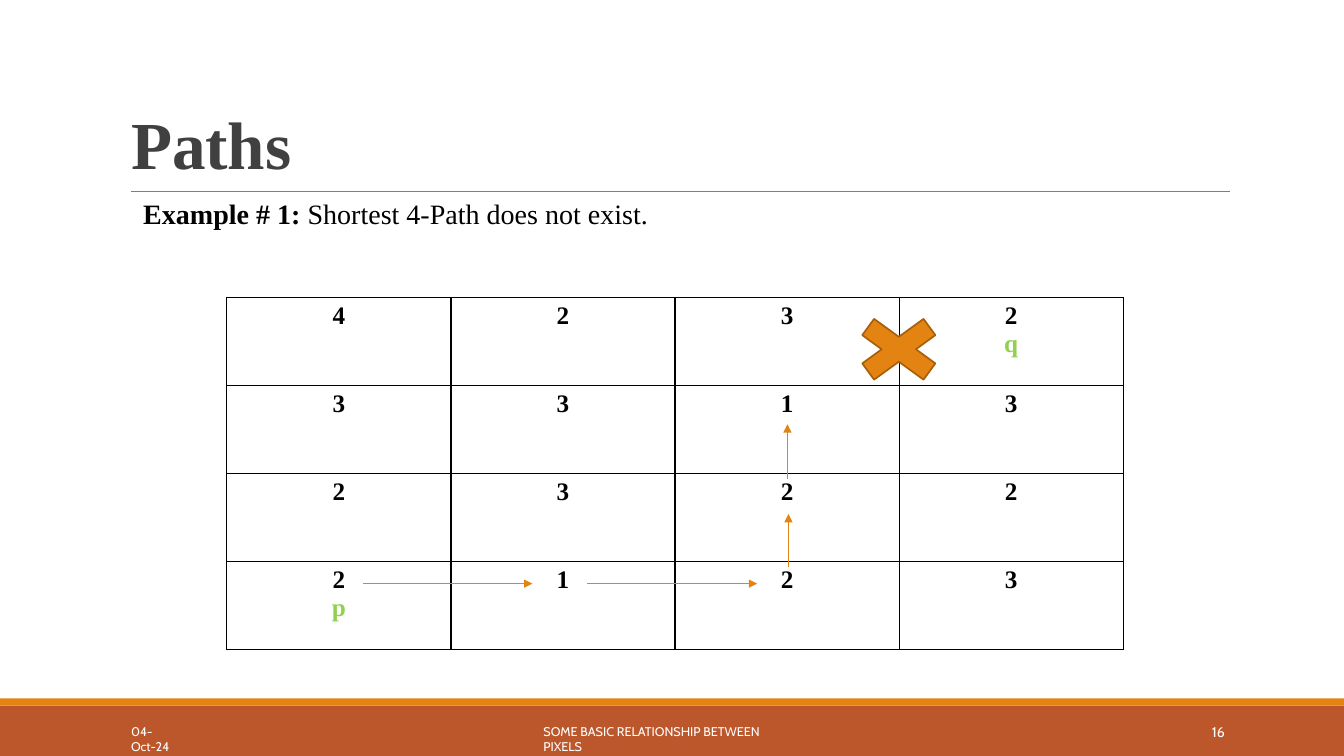
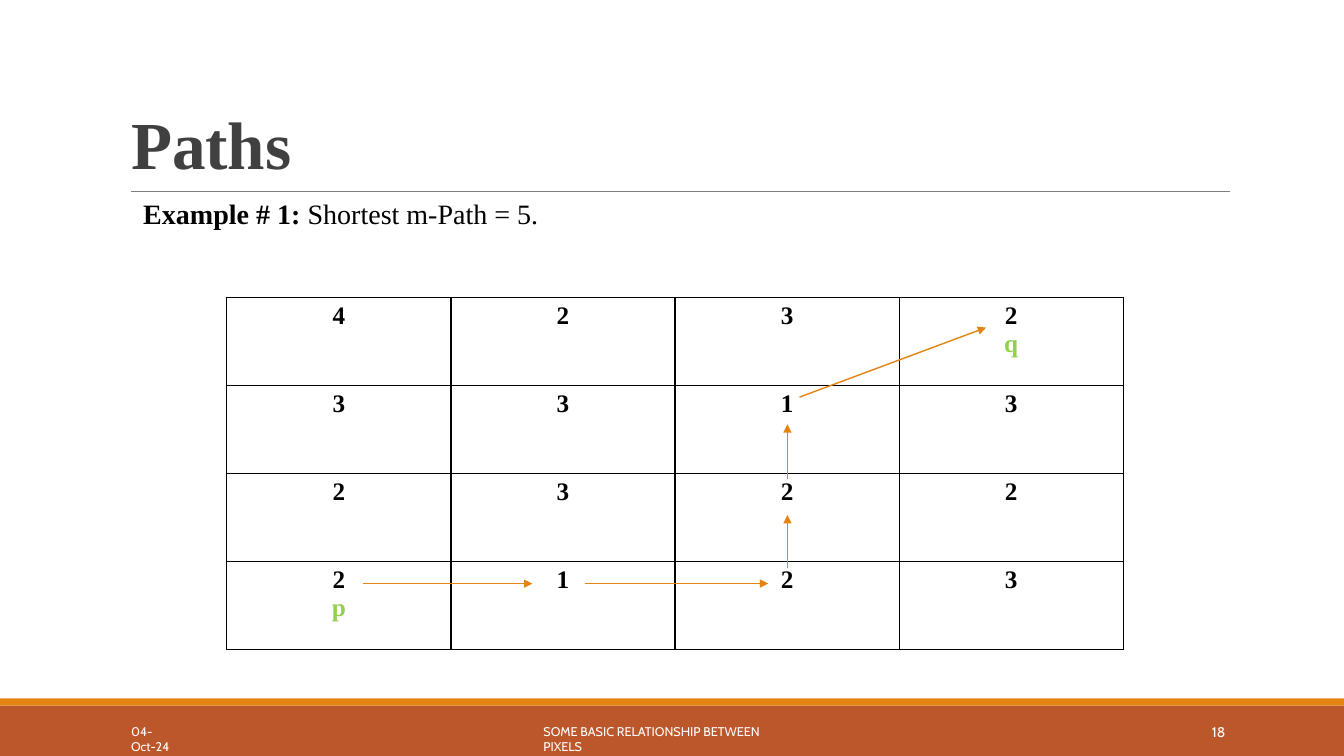
"""Build two slides on paths between pixels."""
from dataclasses import dataclass

from lxml.etree import SubElement
from pptx import Presentation
from pptx.dml.color import RGBColor
from pptx.enum.shapes import MSO_CONNECTOR, MSO_SHAPE
from pptx.enum.text import PP_ALIGN
from pptx.oxml.ns import qn
from pptx.util import Inches, Pt


@dataclass(frozen=True)
class Theme:
    """Colours, fonts and type sizes of the presentation."""

    band: str = "BC572C"
    accent: str = "E38312"
    accent_dark: str = "A75F09"
    rule: str = "7E7E7E"
    title: str = "404040"
    text: str = "000000"
    marker: str = "92D050"
    light: str = "FFFFFF"
    serif: str = "Times New Roman"
    sans: str = "Cabin"
    title_size: float = 48
    body_size: float = 20
    cell_size: float = 18
    page_size: float = 10
    footer_size: float = 9


THEME = Theme()
PIXELS = (
    ("4", "2", "3", "2\nq"),
    ("3", "3", "1", "3"),
    ("2", "3", "2", "2"),
    ("2\np", "1", "2", "3"),
)
ARROW_FROM_P = (3.6, 5.79, 5.28, 5.79)
ARROW_TO_ONE = (7.81, 4.75, 7.81, 4.21)


def color(value):
    """Turn a hex string into a colour."""
    return RGBColor.from_string(value)


def set_font(font, name, size, value, bold=False):
    """Set the face, size, colour and weight of a font."""
    font.name = name
    font.size = Pt(size)
    font.color.rgb = color(value)
    font.bold = bold


def add_text(slide, box, text, name, size, value, bold=False):
    """Add a wrapping text box without margins and return its paragraph."""
    frame = slide.shapes.add_textbox(*map(Inches, box)).text_frame
    frame.word_wrap = True
    frame.margin_left = frame.margin_right = frame.margin_bottom = 0
    frame.margin_top = Inches(0.01)
    paragraph = frame.paragraphs[0]
    paragraph.text = text
    set_font(paragraph.font, name, size, value, bold)
    return paragraph


def add_filled_shape(slide, kind, box, fill, line=None):
    """Add a flat preset shape with an optional outline."""
    shape = slide.shapes.add_shape(kind, *map(Inches, box))
    shape.shadow.inherit = False
    shape.fill.solid()
    shape.fill.fore_color.rgb = color(fill)
    if line:
        shape.line.color.rgb = color(line)
        shape.line.width = Pt(1.2)
    else:
        shape.line.fill.background()


def add_line(slide, ends, value, width):
    """Add a straight line without a shadow."""
    line = slide.shapes.add_connector(MSO_CONNECTOR.STRAIGHT, *map(Inches, ends))
    line.line.color.rgb = color(value)
    line.line.width = Pt(width)
    SubElement(line._element.spPr, qn("a:effectLst"))
    return line


def add_arrow(slide, ends):
    """Add a step of the path, with the arrowhead at its end."""
    arrow = add_line(slide, ends, THEME.accent, 1)
    SubElement(arrow.line._get_or_add_ln(), qn("a:tailEnd"), type="triangle")


def add_cell_borders(cell):
    """Draw a thin border on all sides of a cell."""
    properties = cell._tc.get_or_add_tcPr()
    for side in ("lnL", "lnR", "lnT", "lnB"):
        border = SubElement(properties, qn(f"a:{side}"), w=str(Pt(1)))
        fill = SubElement(border, qn("a:solidFill"))
        SubElement(fill, qn("a:srgbClr"), val=THEME.text)


def fill_cell(cell, text):
    """Write a pixel value and its optional marker into a cell."""
    add_cell_borders(cell)
    cell.fill.background()
    cell.margin_left = cell.margin_right = cell.margin_bottom = 0
    cell.margin_top = Inches(0.05)
    cell.text = text
    for paragraph, value in zip(cell.text_frame.paragraphs, (THEME.text, THEME.marker)):
        paragraph.alignment = PP_ALIGN.CENTER
        set_font(paragraph.font, THEME.serif, THEME.cell_size, value, True)


def add_pixel_table(slide):
    """Add the grid of pixel values."""
    box = map(Inches, (2.25, 2.95, 8.89, 3.49))
    table = slide.shapes.add_table(len(PIXELS), len(PIXELS[0]), *box).table
    table.first_row = table.horz_banding = False
    for row, values in zip(table.rows, PIXELS):
        for cell, text in zip(row.cells, values):
            fill_cell(cell, text)


def add_frame(slide, page):
    """Add the bands, title, rule and footers that the slides share."""
    add_filled_shape(slide, MSO_SHAPE.RECTANGLE, (0, 7, 13.33, 0.5), THEME.band)
    add_filled_shape(slide, MSO_SHAPE.RECTANGLE, (0, 6.93, 13.33, 0.07), THEME.accent)
    add_line(slide, (1.3, 1.9, 12.2, 1.9), THEME.rule, 0.48)
    add_text(slide, (1.3, 1.01, 10.9, 0.83), "Paths",
             THEME.serif, THEME.title_size, THEME.title, True)
    footers = (
        ((12.02, 7.17, 0.3, 0.2), page, THEME.page_size),
        ((1.3, 7.17, 0.5, 0.3), "04-Oct-24", THEME.footer_size),
        ((5.39, 7.17, 2.4, 0.3), "SOME BASIC RELATIONSHIP BETWEEN PIXELS",
         THEME.footer_size),
    )
    for box, text, size in footers:
        add_text(slide, box, text, THEME.sans, size, THEME.light)


def add_path_slide(presentation, page, statement, arrows):
    """Add an example slide with its pixel table and path."""
    slide = presentation.slides.add_slide(presentation.slide_layouts[6])
    add_frame(slide, page)
    paragraph = add_text(slide, (1.42, 1.94, 8, 0.36), "Example # 1: ",
                         THEME.serif, THEME.body_size, THEME.text)
    paragraph.runs[0].font.bold = True
    paragraph.add_run().text = statement
    add_pixel_table(slide)
    for ends in arrows:
        add_arrow(slide, ends)
    return slide


def main():
    """Build and save the presentation."""
    presentation = Presentation()
    presentation.slide_width = Inches(13.33)
    presentation.slide_height = Inches(7.5)
    blocked = add_path_slide(
        presentation, "16", "Shortest 4-Path does not exist.",
        (ARROW_FROM_P, (5.82, 5.79, 7.51, 5.79), (7.82, 5.63, 7.82, 5.1), ARROW_TO_ONE))
    add_filled_shape(blocked, MSO_SHAPE.MATH_MULTIPLY, (8.33, 3.04, 1.17, 0.85),
                     THEME.accent, THEME.accent_dark)
    add_path_slide(
        presentation, "18", "Shortest m-Path = 5.",
        (ARROW_FROM_P, (5.8, 5.79, 7.62, 5.79), (7.81, 5.64, 7.81, 5.11),
         ARROW_TO_ONE, (7.93, 3.94, 9.78, 3.25)))
    presentation.save("out.pptx")


if __name__ == "__main__":
    main()
